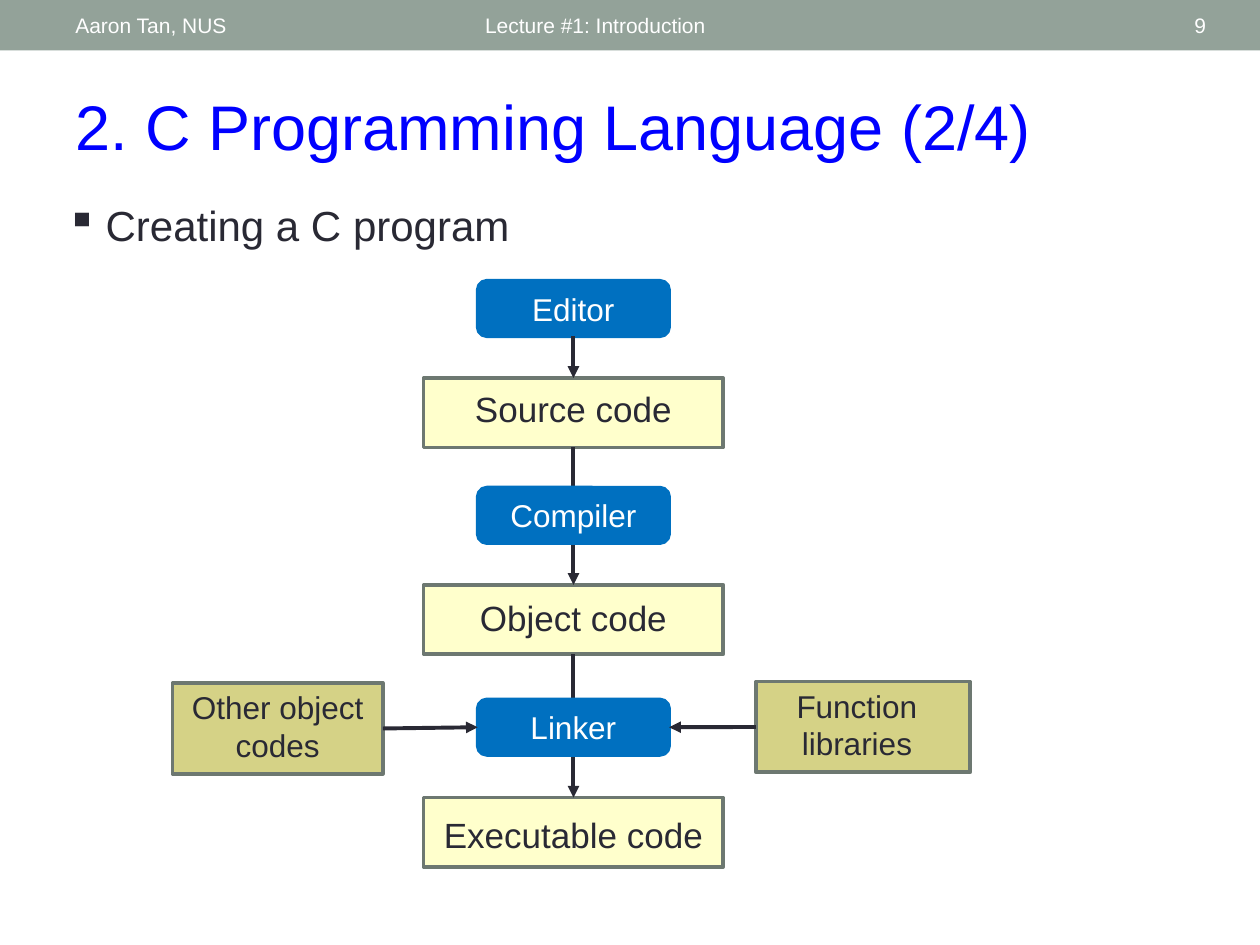
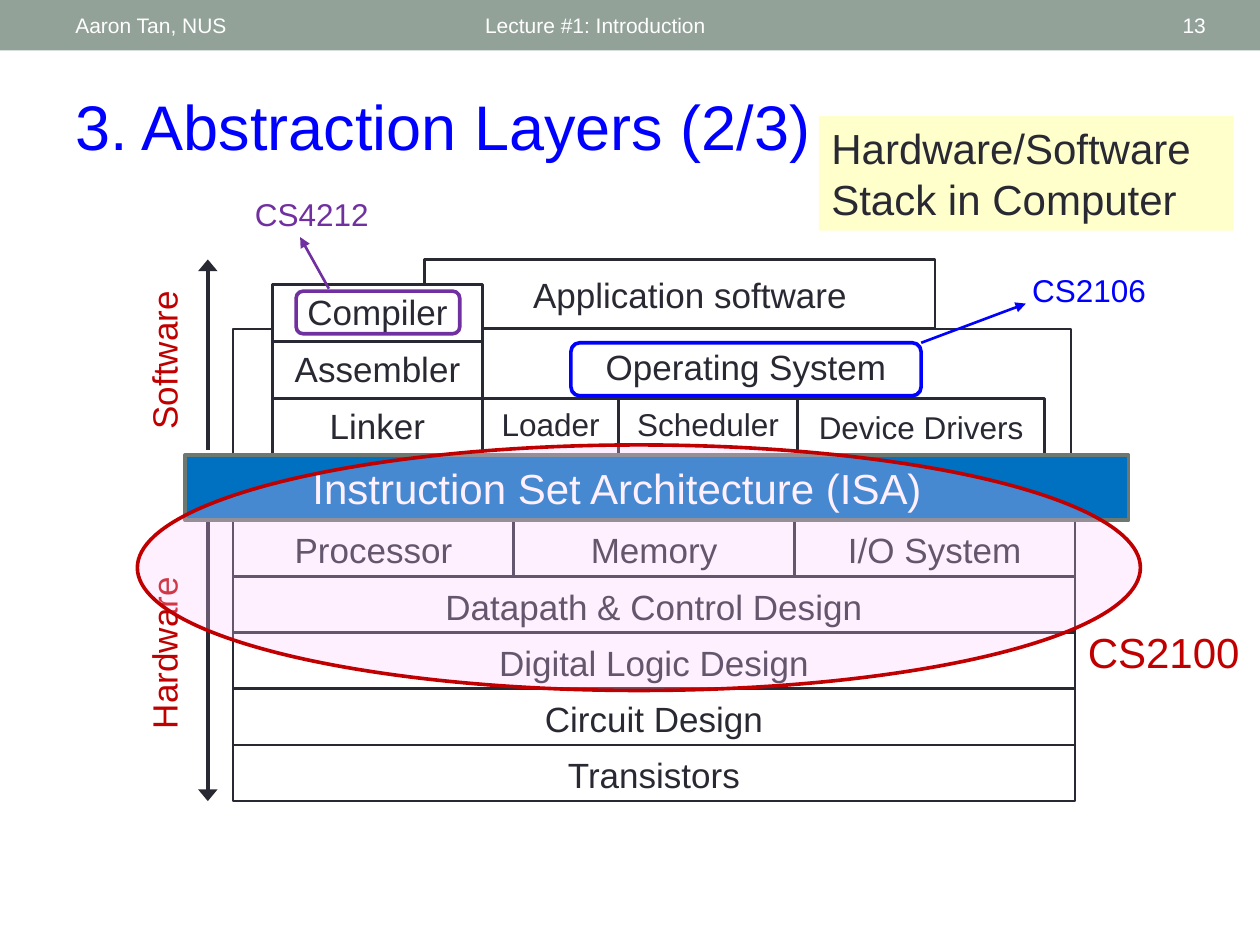
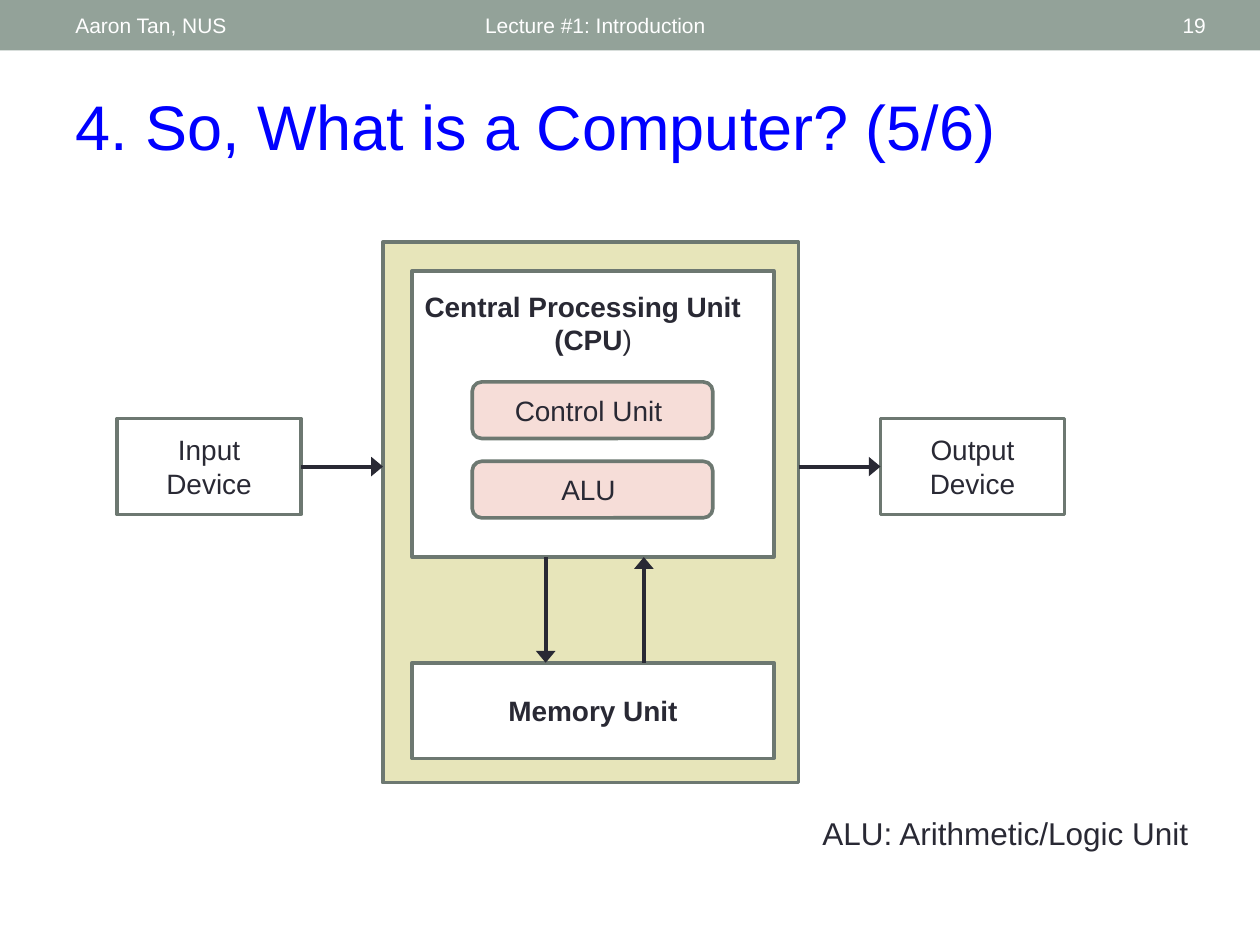
from lxml.etree import SubElement
from pptx import Presentation
from pptx.dml.color import RGBColor
from pptx.enum.shapes import MSO_CONNECTOR as LINE, MSO_SHAPE as SHAPE
from pptx.enum.text import MSO_ANCHOR as ANCHOR, PP_ALIGN as ALIGN
from pptx.oxml.ns import qn
from pptx.util import Cm, Pt

FONT = "Arial"
INK, WHITE, BLUE, RED, PURPLE = "292934", "FFFFFF", "0000FF", "C00000", "7030A0"
BAND, EDGE, TOOL, CREAM = "93A299", "6D7871", "0070C0", "FFFFCC"
OLIVE, PALE_OLIVE, PINK, LILAC = "D5D286", "E7E5BA", "F6DDD8", "FFCCFF"


def color(hex_code):
    """Turn a hex string into a colour."""
    return RGBColor.from_string(hex_code)


def style(font, size, ink, bold=False):
    """Set the font of one run."""
    font.name, font.size, font.bold = FONT, Pt(size), bold
    font.color.rgb = color(ink)


def write(tf, text, size, ink, align, bold=False):
    """Fill a text frame and format all its runs."""
    tf.word_wrap = True
    tf.text = text
    for p in tf.paragraphs:
        p.alignment = align
        for r in p.runs:
            style(r.font, size, ink, bold)


def label(s, x, y, w, h, text, size, ink=INK, align=ALIGN.LEFT, anchor=ANCHOR.TOP):
    """Add a text box."""
    sp = s.shapes.add_textbox(Cm(x), Cm(y), Cm(w), Cm(h))
    write(sp.text_frame, text, size, ink, align)
    sp.text_frame.vertical_anchor = anchor
    return sp


def block(s, x, y, w, h, fill=None, edge=EDGE, width=2.08, kind=SHAPE.RECTANGLE):
    """Add a flat shape with optional fill and outline."""
    sp = s.shapes.add_shape(kind, Cm(x), Cm(y), Cm(w), Cm(h))
    sp.shadow.inherit = False
    if fill:
        sp.fill.solid()
        sp.fill.fore_color.rgb = color(fill)
    else:
        sp.fill.background()
    if edge:
        sp.line.color.rgb = color(edge)
        sp.line.width = Pt(width)
    else:
        sp.line.fill.background()
    return sp


def fill_text(sp, text, size, ink=INK, align=ALIGN.CENTER, bold=False,
              drop=0, left=0.25, right=0.25):
    """Write inside a shape, shifted down from its middle by drop."""
    tf = sp.text_frame
    write(tf, text, size, ink, align, bold)
    tf.vertical_anchor = ANCHOR.MIDDLE
    tf.margin_left, tf.margin_right = Cm(left), Cm(right)
    tf.margin_top, tf.margin_bottom = Cm(max(0, 2 * drop)), Cm(max(0, -2 * drop))
    return sp


def arrow(s, x1, y1, x2, y2, ink=INK, width=2.25, wide=False):
    """Add a straight arrow."""
    c = s.shapes.add_connector(LINE.STRAIGHT, Cm(x1), Cm(y1), Cm(x2), Cm(y2))
    c.line.color.rgb = color(ink)
    c.line.width = Pt(width)
    sp_pr = c.element.spPr
    SubElement(sp_pr.find(qn("a:ln")), qn("a:tailEnd"), type="triangle",
               w="lg" if wide else "med")
    SubElement(sp_pr, qn("a:effectLst"))
    return c


def link(s, a, side_a, b, side_b):
    """Join two shapes with an arrow."""
    c = arrow(s, 0, 0, 0, 0)
    c.begin_connect(a, side_a)
    c.end_connect(b, side_b)


def new_slide(prs, title, number):
    """Add a slide with the band, the running header and the title."""
    s = prs.slides.add_slide(prs.slide_layouts[6])
    block(s, 0, 0, 25.4, 1.02, BAND, None)
    for x, w, text, align in ((1.27, 8.05, "Aaron Tan, NUS", ALIGN.LEFT),
                              (9.53, 11.43, "Lecture #1: Introduction", ALIGN.LEFT),
                              (22.15, 2.41, str(number), ALIGN.RIGHT)):
        label(s, x, 0.05, w, 0.91, text, 12, WHITE, align, ANCHOR.MIDDLE)
    label(s, 1.27, 1.63, 23.6, 1.8, title, 36, BLUE)
    return s


def bullet(s, x, y, w, h, text):
    """Add a bulleted line."""
    p = label(s, x, y, w, h, text, 24).text_frame.paragraphs[0]
    p.space_after = Pt(6)
    p_pr = p._p.get_or_add_pPr()
    p_pr.set("marL", str(Cm(0.79)))
    p_pr.set("indent", str(-Cm(0.79)))
    SubElement(p_pr, qn("a:buChar"), char="▪")


def build_flow(s, x, y, w, h):
    """Draw the steps from editor to executable code."""
    mid = x + 8.08

    def code(dy, text, drop):
        """Add a box for a form of the code."""
        sp = block(s, mid - 3.02, y + dy, 6.04, 1.4, CREAM)
        return fill_text(sp, text, 20, drop=drop)

    def tool(dy, text):
        """Add a box for a tool."""
        sp = block(s, mid - 1.93, y + dy, 3.86, 1.12, TOOL, TOOL,
                   kind=SHAPE.ROUNDED_RECTANGLE)
        return fill_text(sp, text, 18, WHITE)

    source = code(1.96, "Source code", -0.09)
    obj = code(6.13, "Object code", -0.04)
    exe = code(h - 1.4, "Executable code", 0.04)
    link(s, source, 2, obj, 0)
    link(s, obj, 2, exe, 0)
    editor = tool(0, "Editor")
    tool(4.17, "Compiler")
    linker = tool(8.44, "Linker")
    link(s, editor, 2, source, 0)
    others = block(s, x, y + 8.11, 4.24, 1.83, OLIVE)
    fill_text(others, "Other object codes", 18, drop=-0.05)
    libs = block(s, x + w - 4.32, y + 8.08, 4.32, 1.83, OLIVE)
    fill_text(libs, "Function libraries", 18, drop=-0.05, right=0.5)
    link(s, others, 3, linker, 1)
    link(s, libs, 1, linker, 3)


def layer(s, x, y, w, h, text="", size=20, **text_options):
    """Add one white layer of the stack."""
    sp = block(s, x, y, w, h, WHITE, INK, 1.5)
    if text:
        fill_text(sp, text, size, **text_options)


def build_software(s, x, y, w, h):
    """Draw the software layers."""
    row = (h - 0.51) / 3
    layer(s, x + 3.86, y, 10.29, 1.4, "Application software", left=0.66)
    layer(s, x, y + 1.4, w, h - 1.4)
    for i, text in enumerate(("Compiler", "Assembler", "Linker")):
        layer(s, x + 0.79, y + 0.51 + i * row, 4.24, row, text, drop=-0.03)
    left = x + 5.03
    for text, width, drop in (("Loader", 2.74, -0.06), ("Scheduler", 3.61, -0.06),
                              ("Device Drivers", 4.98, 0)):
        layer(s, left, y + h - row, width, row, text, 18, drop=drop)
        left += width


def build_hardware(s, x, y, w, h):
    """Draw the hardware layers."""
    rows = (("Processor", "Memory", "I/O System"), ("Datapath & Control Design",),
            ("Digital Logic Design",), ("Circuit Design",), ("Transistors",))
    row = h / len(rows)
    for i, names in enumerate(rows):
        width = w / len(names)
        for j, text in enumerate(names):
            layer(s, x + j * width, y + i * row, width, row, text, drop=0.03)


def build_axis(s, x, y, w, h, text, up, drop):
    """Draw a vertical arrow with a turned name on its left."""
    sp = label(s, x + 0.56 - 1.92, y + h / 2 + drop - 0.56, 3.84, 1.12,
               text, 20, RED, ALIGN.CENTER)
    sp.rotation = 270
    ends = (y + h, y) if up else (y, y + h)
    arrow(s, x + w, ends[0], x + w, ends[1], wide=True)


def build_course(s, x, y, w, h, tag, ink, tag_at, pointer=None, size=18,
                 kind=SHAPE.ROUNDED_RECTANGLE, fill=None):
    """Outline a region and tag it with its course."""
    sp = block(s, x, y, w, h, fill, ink, kind=kind)
    dx, dy, tag_w, tag_h = tag_at
    label(s, x + dx, y + dy, tag_w, tag_h, tag, size, ink, ALIGN.CENTER)
    if pointer:
        x1, y1, x2, y2 = pointer
        arrow(s, x + x1, y + y1, x + x2, y + y2, ink, 1.5)
    return sp


def build_stack(s, x, y, w, h):
    """Draw the hardware and software stack with its courses."""
    build_software(s, x, y, 16.89, 3.96)
    build_hardware(s, x, y + 5.26, w, h - 5.26)
    isa = block(s, x - 0.97, y + 3.94, 19.02, 1.32, TOOL)
    fill_text(isa, "Instruction Set Architecture (ISA)", 24, WHITE, ALIGN.LEFT, left=2.57)
    build_axis(s, x - 1.95, y, 1.44, 3.84, "Software", True, 0.11)
    build_axis(s, x - 1.95, y + 5.29, 1.44, h - 5.29, "Hardware", False, -0.17)
    system = build_course(s, x + 6.81, y + 1.68, 7.06, 1.07, "CS2106", BLUE,
                          (8.91, -1.58, 3.07, 1.02), (7.06, 0, 9.17, -0.79))
    fill_text(system, "Operating System", 20, drop=-0.05)
    build_course(s, x + 1.27, y + 0.64, 3.3, 0.86, "CS4212", PURPLE,
                 (-1.22, -2.06, 3.07, 1.02), (0.66, -0.05, 0.08, -1.09))
    scope = build_course(s, x - 1.93, y + 3.74, 20.22, 4.95, "CS2100", RED,
                         (18.77, 3.53, 3.84, 1.27), size=24, kind=SHAPE.OVAL, fill=LILAC)
    tint = scope.element.spPr.find(qn("a:solidFill")).find(qn("a:srgbClr"))
    SubElement(tint, qn("a:alpha"), val="28000")


def build_computer(s, x, y, w, h):
    """Draw the computer between its input and output devices."""
    case_x, case_w = x + 5.36, 8.38
    block(s, case_x, y, case_w, h, PALE_OLIVE)
    cpu = block(s, x + 5.95, y + 0.58, 7.29, 5.77, WHITE)
    fill_text(cpu, "Central Processing Unit\n(CPU", 16, align=ALIGN.LEFT, bold=True, drop=-1.84)
    p = cpu.text_frame.paragraphs[1]
    p.alignment = ALIGN.CENTER
    r = p.add_run()
    r.text = ")"
    style(r.font, 16, INK)
    for i, text in enumerate(("Control Unit", "ALU")):
        unit = block(s, x + 7.16, y + 2.82 + i * 1.6, 4.85, 1.14, PINK,
                     kind=SHAPE.ROUNDED_RECTANGLE)
        fill_text(unit, text, 16, right=0.41)
    memory = block(s, x + 5.95, y + 8.48, 7.29, 1.93, WHITE)
    fill_text(memory, "Memory Unit", 16, bold=True)
    arrow(s, x + 10.62, y + 8.48, x + 10.62, y + 6.35, wide=True)
    arrow(s, x + 8.64, y + 6.35, x + 8.64, y + 8.48, wide=True)
    devices = []
    for dx, text in ((0, "Input Device"), (w - 3.71, "Output Device")):
        sp = block(s, x + dx, y + 3.56, 3.71, 1.93, WHITE)
        devices.append(fill_text(sp, text, 16, left=0.7, right=0.7))
    mid = y + 3.56 + 1.93 / 2
    feed = arrow(s, x + 3.71, mid, case_x, mid, wide=True)
    feed.begin_connect(devices[0], 3)
    result = arrow(s, case_x + case_w, mid, x + w - 3.71, mid, wide=True)
    result.end_connect(devices[1], 1)


def main():
    """Build the three slides."""
    prs = Presentation()
    prs.slide_width, prs.slide_height = Cm(25.4), Cm(19.05)

    s = new_slide(prs, "2. C Programming Language (2/4)", 9)
    bullet(s, 1.09, 3.89, 23.04, 1.27, "Creating a C program")
    build_flow(s, 3.48, 5.66, 16.08, 11.82)

    s = new_slide(prs, "3. Abstraction Layers (2/3)", 13)
    note = block(s, 16.51, 2.34, 8.36, 2.31, CREAM, None)
    fill_text(note, "Hardware/Software Stack in Computer", 24, align=ALIGN.LEFT)
    build_stack(s, 4.7, 5.23, 16.97, 10.92)

    s = new_slide(prs, "4. So, What is a Computer? (5/6)", 19)
    build_computer(s, 2.36, 4.88, 19.1, 10.9)
    label(s, 16.33, 16.28, 8.2, 1.02, "ALU: Arithmetic/Logic Unit", 18)

    prs.save("out.pptx")


if __name__ == "__main__":
    main()
